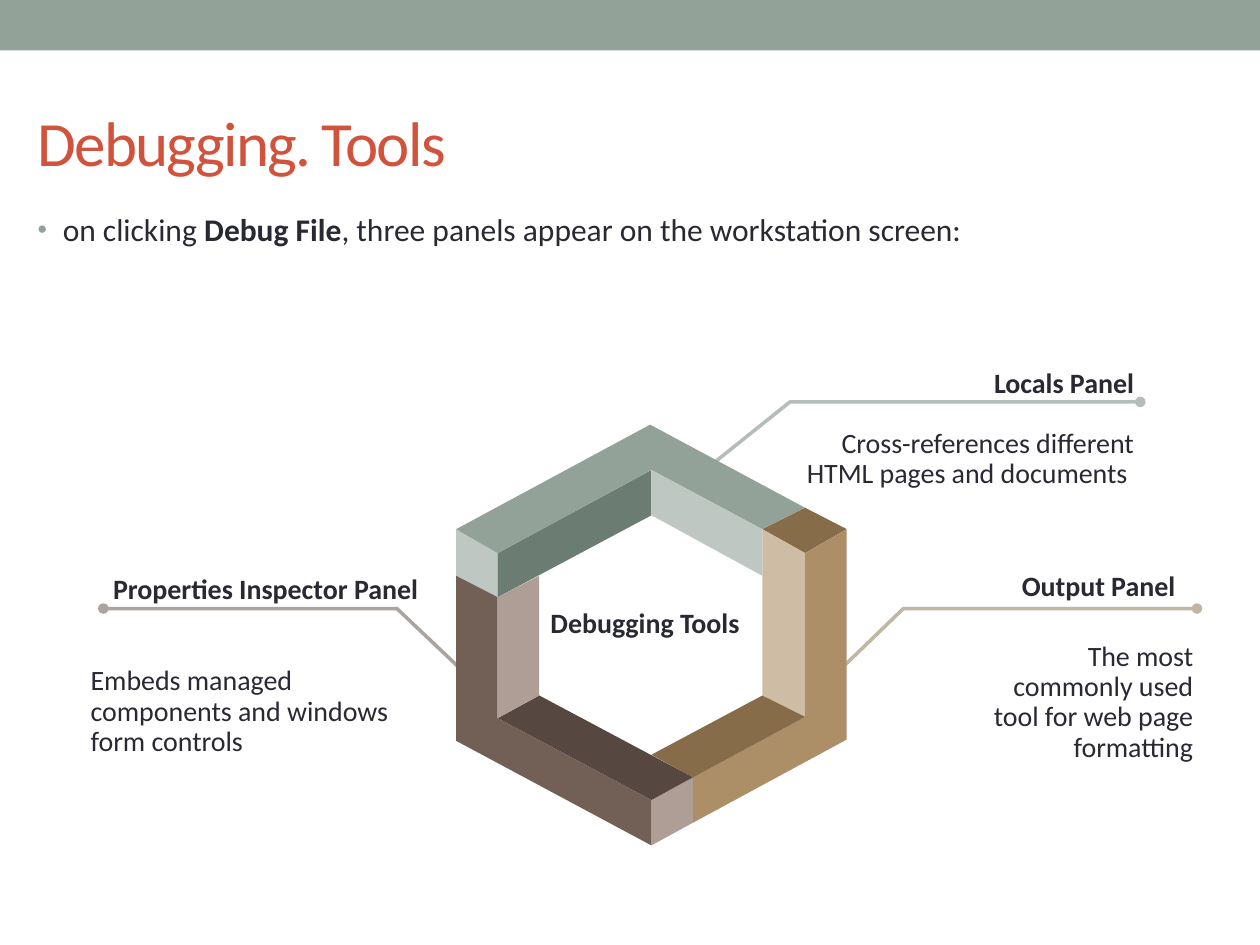
from lxml import etree
from pptx import Presentation
from pptx.dml.color import RGBColor
from pptx.enum.shapes import MSO_SHAPE
from pptx.enum.text import MSO_ANCHOR, PP_ALIGN
from pptx.oxml.ns import qn
from pptx.util import Inches, Pt

RECTANGLE = MSO_SHAPE.RECTANGLE
TOP, MIDDLE = MSO_ANCHOR.TOP, MSO_ANCHOR.MIDDLE
LEFT, CENTER, RIGHT, JUSTIFY = PP_ALIGN.LEFT, PP_ALIGN.CENTER, PP_ALIGN.RIGHT, PP_ALIGN.JUSTIFY

INK = RGBColor(0x29, 0x29, 0x34)
RED = RGBColor(0xD2, 0x53, 0x3C)
SAGE = RGBColor(0x93, 0xA2, 0x99)
SAGE_DARK = RGBColor(0x6B, 0x7D, 0x72)
SAGE_LIGHT = RGBColor(0xBE, 0xC7, 0xC2)
TAN = RGBColor(0xAD, 0x8F, 0x67)
TAN_DARK = RGBColor(0x86, 0x6C, 0x49)
TAN_LIGHT = RGBColor(0xCE, 0xBC, 0xA4)
BROWN = RGBColor(0x72, 0x60, 0x56)
BROWN_DARK = RGBColor(0x56, 0x48, 0x41)
BROWN_LIGHT = RGBColor(0xAF, 0x9E, 0x95)

COLUMNS, ROWS = 100, 75
BODY_MARGINS = (1, 0.5)
LABEL_MARGINS = (1.3, 0.5)


class SlideBuilder:
    font_name = "Calibri"

    def __init__(self, presentation):
        self.slide = presentation.slides.add_slide(presentation.slide_layouts[6])
        self.column = presentation.slide_width / COLUMNS
        self.row = presentation.slide_height / ROWS

    def place(self, x, y):
        return round(x * self.column), round(y * self.row)

    def child(self, parent, tag, **values):
        return etree.SubElement(parent, qn(tag), values)

    def band(self, left, top, width, height, color):
        shape = self.slide.shapes.add_shape(
            RECTANGLE, *self.place(left, top), *self.place(width, height))
        self.paint(shape, color)

    def paint(self, shape, color):
        shape.shadow.inherit = False
        shape.fill.solid()
        shape.fill.fore_color.rgb = color
        shape.line.fill.background()

    def outline(self, points, closed):
        start, *others = [self.place(*point) for point in points]
        builder = self.slide.shapes.build_freeform(*start, scale=1.0)
        builder.add_line_segments(others, close=closed)
        return builder.convert_to_shape()

    def face(self, color, points):
        self.paint(self.outline(points, True), color)

    def leader(self, color, points):
        shape = self.outline(points, False)
        shape.shadow.inherit = False
        shape.fill.background()
        shape.line.width = Pt(2)
        shape.line.color.rgb = color
        line = shape.line._get_or_add_ln()
        self.child(line.find(".//" + qn("a:srgbClr")), "a:alpha", val="50000")
        self.child(line, "a:tailEnd", type="oval")

    def text_box(self, left, top, width, height, margins=LABEL_MARGINS, anchor=TOP):
        shape = self.slide.shapes.add_textbox(
            *self.place(left, top), *self.place(width, height))
        side, edge = self.place(*margins)
        settings = {"word_wrap": True, "vertical_anchor": anchor,
                    "margin_left": side, "margin_right": side,
                    "margin_top": edge, "margin_bottom": edge}
        for name, value in settings.items():
            setattr(shape.text_frame, name, value)
        return shape.text_frame

    def add_text(self, paragraph, runs, size=16, color=INK, spacing=None, **settings):
        for name, value in settings.items():
            setattr(paragraph, name, value)
        for text, bold in runs:
            run = paragraph.add_run()
            run.text = text
            values = {"name": self.font_name, "size": Pt(size), "bold": bold}
            for name, value in values.items():
                setattr(run.font, name, value)
            run.font.color.rgb = color
            if spacing:
                run.font._element.set("spc", str(spacing))

    def indent(self, paragraph, margin, hanging=0):
        properties = paragraph._p.get_or_add_pPr()
        properties.set("marL", str(round(margin * self.column)))
        properties.set("indent", str(round(-hanging * self.column)))
        return properties

    def bullet(self, paragraph, color):
        properties = self.indent(paragraph, 2, 2)
        bullet_color = self.child(properties, "a:buClr")
        self.child(bullet_color, "a:srgbClr", val=str(color))
        self.child(properties, "a:buSzPct", val="85000")
        self.child(properties, "a:buFont", typeface="Arial")
        self.child(properties, "a:buChar", char="•")

    def panel(self, box, heading, detail, gap, heading_align, detail_align,
              heading_indent=0, heading_spacing=0.9):
        frame = self.text_box(*box)
        first = frame.paragraphs[0]
        self.add_text(first, [(heading, True)], alignment=heading_align,
                      line_spacing=heading_spacing)
        self.indent(first, heading_indent)
        self.add_text(frame.add_paragraph(), [(detail, False)], alignment=detail_align,
                      line_spacing=0.9, space_before=Pt(gap))


def draw_hexagon(builder):
    west, west_inner, west_core = 36.2, 39.5, 42.8
    middle, middle_east = 51.7, 55
    east_core, east_inner, east = 60.5, 63.9, 67.2
    faces = [
        (TAN_DARK, [(east_inner, 43.9), (east_core, 42), (east_inner, 40.3), (east, 42)]),
        (TAN_LIGHT, [(east_inner, 43.9), (east_core, 42), (east_core, 55.2),
                     (east_inner, 56.9)]),
        (TAN, [(east, 42), (east_inner, 43.9), (east_inner, 56.9), (middle_east, 61.7),
               (middle_east, 65.3), (east, 58.7)]),
        (TAN_DARK, [(east_core, 55.2), (middle, 59.9), (middle_east, 61.7),
                    (east_inner, 56.9)]),
        (SAGE_LIGHT, [(west_inner, 43.9), (west_inner, 47.4), (west, 45.7), (west, 42)]),
        (SAGE_DARK, [(west_inner, 43.9), (west_inner, 47.4), (middle, 40.9),
                     (middle, 37.3)]),
        (SAGE, [(west, 42), (west_inner, 43.9), (middle, 37.3), (east_core, 42),
                (east_inner, 40.3), (51.6, 33.7)]),
        (SAGE_LIGHT, [(middle, 40.9), (east_core, 45.7), (east_core, 42), (middle, 37.3)]),
        (BROWN_LIGHT, [(middle, 63.5), (middle_east, 61.7), (middle_east, 65.3),
                       (middle, 67.1)]),
        (BROWN_DARK, [(middle, 63.5), (middle_east, 61.7), (west_core, 55.2),
                      (west_inner, 57)]),
        (BROWN, [(middle, 67.1), (middle, 63.5), (west_inner, 57), (west_inner, 47.4),
                 (west, 45.7), (west, 58.8)]),
        (BROWN_LIGHT, [(west_core, 55.2), (west_core, 45.7), (west_inner, 47.4),
                       (west_inner, 57)]),
    ]
    for color, points in faces:
        builder.face(color, points)


def main():
    presentation = Presentation()
    presentation.slide_width = Inches(10)
    presentation.slide_height = Inches(7.5)
    builder = SlideBuilder(presentation)

    builder.band(0, 0, COLUMNS, 4, SAGE)
    title = builder.text_box(2, 5.8, 95.3, 10.8, BODY_MARGINS, MIDDLE)
    builder.add_text(title.paragraphs[0], [("Debugging. Tools", False)], 36, RED, -100)
    body = builder.text_box(2, 16.2, 93, 53.3, BODY_MARGINS)
    introduction = [("on clicking ", False), ("Debug File", True),
                    (", three panels appear on the workstation screen:", False)]
    builder.add_text(body.paragraphs[0], introduction, 18, alignment=JUSTIFY)
    builder.bullet(body.paragraphs[0], SAGE)

    builder.leader(BROWN_DARK, [(37.4, 53.9), (31.5, 48.3), (8.2, 48.3)])
    builder.leader(SAGE_DARK, [(55.7, 37.5), (62.7, 31.9), (90.5, 31.9)])
    builder.leader(TAN_DARK, [(65.9, 53.9), (71.7, 48.3), (95, 48.3)])
    draw_hexagon(builder)

    builder.panel((5.9, 44.9, 28.6, 15.9), "Properties Inspector Panel",
                  "Embeds managed components and windows form controls",
                  35, RIGHT, LEFT, heading_spacing=1.0)
    builder.panel((62.2, 28.8, 29.1, 10.7), "Locals Panel",
                  "Cross-references different HTML pages and documents ",
                  17, RIGHT, RIGHT)
    builder.panel((75.6, 44.9, 20.4, 16.4), "Output Panel",
                  "The most commonly used tool for web page formatting",
                  23, CENTER, RIGHT, heading_indent=2.8)
    center = builder.text_box(41, 47, 20.4, 4.4)
    builder.add_text(center.paragraphs[0], [("Debugging Tools", True)],
                     alignment=CENTER, line_spacing=1.2)

    presentation.save("out.pptx")


if __name__ == "__main__":
    main()
